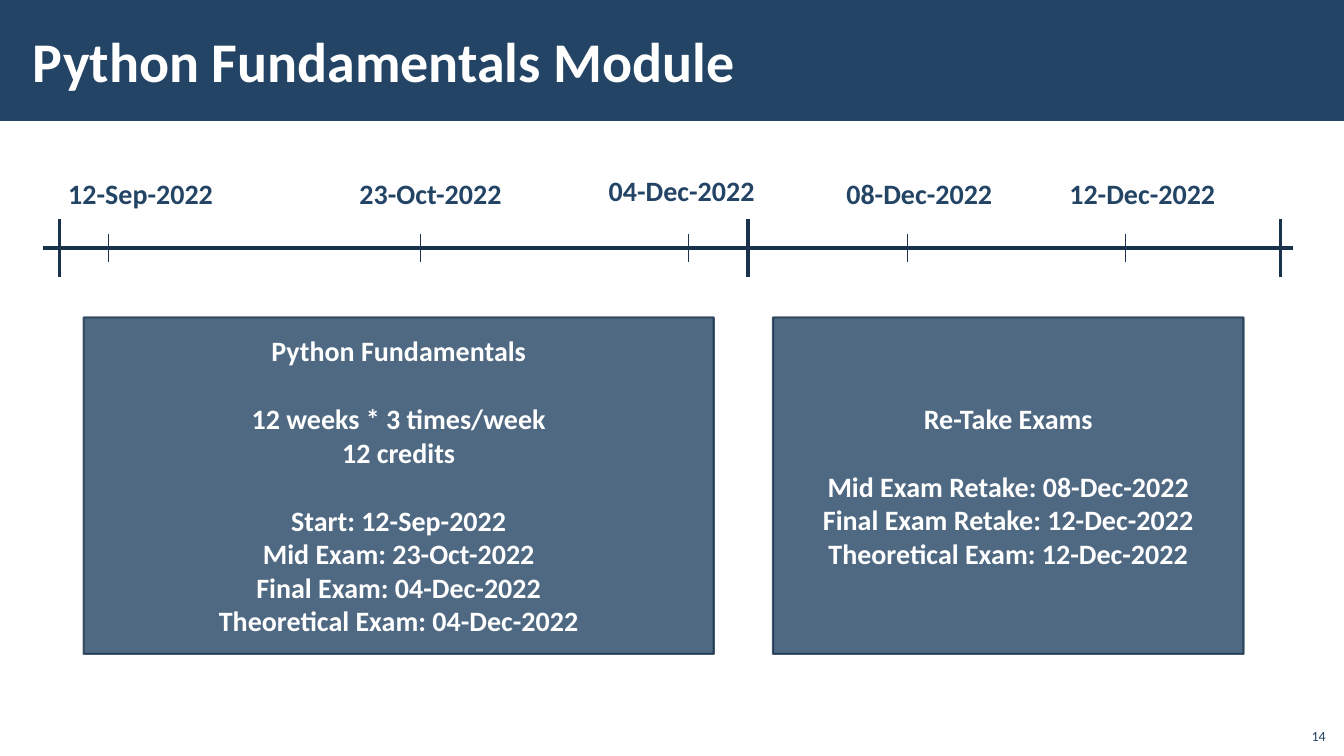
from dataclasses import dataclass
from lxml.etree import SubElement
from pptx import Presentation
from pptx.dml.color import RGBColor
from pptx.enum.shapes import MSO_CONNECTOR, MSO_SHAPE
from pptx.enum.text import MSO_ANCHOR, MSO_AUTO_SIZE, PP_ALIGN
from pptx.oxml.ns import qn
from pptx.util import Cm, Pt

TITLE = "Python Fundamentals Module"
PAGE = "14"
MILESTONES = [
    ("12-Sep-2022", 2.74, 1.47, 4.32),
    ("23-Oct-2022", 10.59, 8.81, 4.32),
    ("04-Dec-2022", 17.35, 15.09, 4.24),
    ("08-Dec-2022", 22.86, 21.08, 4.32),
    ("12-Dec-2022", 28.37, 26.7, 4.32),
]
PHASE_LIMITS = [1.5, 18.85, 32.28]
PHASES = [
    (2.11, 15.88, [
        ["Python Fundamentals"],
        ["12 weeks * 3 times/week", "12 credits"],
        ["Start: 12-Sep-2022", "Mid Exam: 23-Oct-2022",
         "Final Exam: 04-Dec-2022", "Theoretical Exam: 04-Dec-2022"],
    ]),
    (19.48, 11.86, [
        ["Re-Take Exams"],
        ["Mid Exam Retake: 08-Dec-2022", "Final Exam Retake: 12-Dec-2022",
         "Theoretical Exam: 12-Dec-2022"],
    ]),
]


@dataclass(frozen=True)
class Theme:
    font: str = "Calibri"
    navy: RGBColor = RGBColor(0x23, 0x44, 0x65)
    dark: RGBColor = RGBColor(0x1A, 0x33, 0x4C)
    white: RGBColor = RGBColor(0xFF, 0xFF, 0xFF)
    title: float = 40
    body: float = 20
    page: float = 10
    group_gap: float = 24.4
    thick: float = 2.25
    thin: float = 0.5
    border: float = 1.5
    alpha: int = 80000


T = Theme()
AXIS_Y, AXIS_LEFT, AXIS_RIGHT = 6.25, 1.09, 32.59
MAJOR_HALF, MINOR_HALF = 0.72, 0.36


def add_run(p, text, size, color, bold=True):
    r = p.add_run()
    r.text = text
    r.font.name, r.font.size, r.font.bold = T.font, Pt(size), bold
    r.font.color.rgb = color


def add_line(s, x1, y1, x2, y2, width):
    line = s.shapes.add_connector(
        MSO_CONNECTOR.STRAIGHT, Cm(x1), Cm(y1), Cm(x2), Cm(y2))
    line.line.color.rgb = T.dark
    line.line.width = Pt(width)
    SubElement(line._element.spPr, qn("a:effectLst"))


def add_tick(s, x, half, width):
    add_line(s, x, AXIS_Y - half, x, AXIS_Y + half, width)


def add_rect(s, x, y, w, h):
    sp = s.shapes.add_shape(MSO_SHAPE.RECTANGLE, Cm(x), Cm(y), Cm(w), Cm(h))
    sp.shadow.inherit = False
    sp.fill.solid()
    sp.fill.fore_color.rgb = T.navy
    return sp


def add_header(s):
    bar = add_rect(s, 0, 0, 33.87, 3.05)
    bar.line.fill.background()
    s.shapes._spTree.insert(2, bar._element)
    title = s.shapes.title
    title.left, title.top, title.width, title.height = Cm(0.53), Cm(0.28), Cm(27), Cm(2.46)
    tf = title.text_frame
    tf.margin_left = tf.margin_right = Cm(0.3)
    tf.margin_top = tf.margin_bottom = Cm(0.1)
    tf.vertical_anchor = MSO_ANCHOR.MIDDLE
    tf.paragraphs[0].alignment = PP_ALIGN.LEFT
    add_run(tf.paragraphs[0], TITLE, T.title, T.white)


def add_timeline(s):
    add_line(s, AXIS_LEFT, AXIS_Y, AXIS_RIGHT, AXIS_Y, T.thick)
    for x in PHASE_LIMITS:
        add_tick(s, x, MAJOR_HALF, T.thick)
    for date, x, left, top in MILESTONES:
        add_tick(s, x, MINOR_HALF, T.thin)
        tf = s.shapes.add_textbox(Cm(left), Cm(top), Cm(4.2), Cm(1.11)).text_frame
        tf.word_wrap = False
        tf.auto_size = MSO_AUTO_SIZE.SHAPE_TO_FIT_TEXT
        add_run(tf.paragraphs[0], date, T.body, T.navy)


def add_phase(s, left, width, groups):
    sp = add_rect(s, left, 8, width, 8.48)
    sp.line.color.rgb = T.dark
    sp.line.width = Pt(T.border)
    for color in sp._element.spPr.iter(qn("a:srgbClr")):
        SubElement(color, qn("a:alpha"), val=str(T.alpha))
    tf = sp.text_frame
    tf.vertical_anchor = MSO_ANCHOR.MIDDLE
    for g, lines in enumerate(groups):
        for i, text in enumerate(lines):
            p = tf.add_paragraph() if g or i else tf.paragraphs[0]
            p.alignment = PP_ALIGN.CENTER
            if g and i == 0:
                p.space_before = Pt(T.group_gap)
            add_run(p, text, T.body, T.white)


def add_page_number(s):
    tf = s.shapes.add_textbox(Cm(32.64), Cm(18.08), Cm(1.02), Cm(0.81)).text_frame
    tf.word_wrap = True
    tf.vertical_anchor = MSO_ANCHOR.BOTTOM
    tf.paragraphs[0].alignment = PP_ALIGN.RIGHT
    add_run(tf.paragraphs[0], PAGE, T.page, T.navy, bold=False)


def main():
    prs = Presentation()
    prs.slide_width, prs.slide_height = Cm(33.87), Cm(19.05)
    s = prs.slides.add_slide(prs.slide_layouts[5])
    add_header(s)
    add_timeline(s)
    for left, width, groups in PHASES:
        add_phase(s, left, width, groups)
    add_page_number(s)
    prs.save("out.pptx")


if __name__ == "__main__":
    main()
